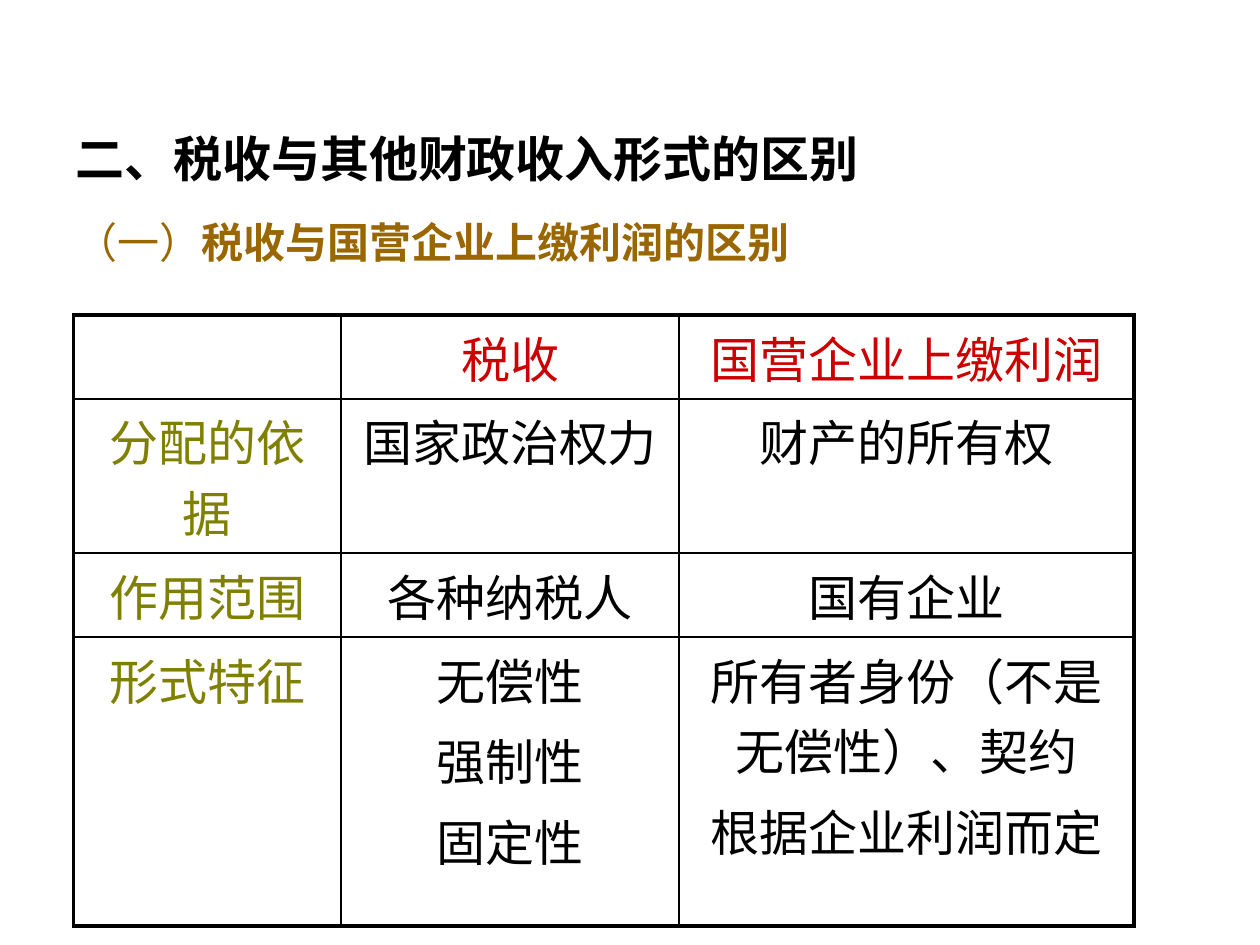
from lxml import etree
from pptx import Presentation
from pptx.dml.color import RGBColor
from pptx.enum import text as t
from pptx.oxml import ns
from pptx.util import Pt

HUES = {"ink": "000000", "gold": "996600", "red": "CC0000", "olive": "808000"}
COLS = [153, 193, 260]
ROWS = [48, 88, 48, 165]
CELLS = [
    ["", "税收", "国营企业上缴利润"],
    ["分配的依据", "国家政治权力", "财产的所有权"],
    ["作用范围", "各种纳税人", "国有企业"],
    ["形式特征", "无偿性\n强制性\n固定性", "所有者身份（不是无偿性）、契约\n根据企业利润而定"],
]


def style(para, size, hue):
    font = para.font
    font.name = "Arial"
    font.size = Pt(size)
    font.color.rgb = RGBColor.from_string(HUES[hue])


def place(shape, left, top, width, height):
    shape.left, shape.top = Pt(left), Pt(top)
    shape.width, shape.height = Pt(width), Pt(height)


def hang(para, indent):
    para.alignment = t.PP_ALIGN.LEFT
    para.space_before = Pt(0)
    props = para._p.get_or_add_pPr()
    props.set("marL", str(Pt(indent)))
    props.set("indent", str(-Pt(indent)))
    etree.SubElement(props, ns.qn("a:buNone"))


def add_title(slide):
    title = slide.shapes.title
    place(title, 36, 36, 648, 108)
    frame = title.text_frame
    frame.text = "二、税收与其他财政收入形式的区别"
    frame.vertical_anchor = t.MSO_ANCHOR.MIDDLE
    para = frame.paragraphs[0]
    hang(para, 66)
    style(para, 28, "ink")
    para.font.bold = True


def add_body(slide):
    body = slide.placeholders[1]
    place(body, 36, 120, 618, 150)
    para = body.text_frame.paragraphs[0]
    hang(para, 27)
    style(para, 24, "gold")
    for words, bold in [("（一）", False), ("税收与国营企业上缴利润的区别", True)]:
        run = para.add_run()
        run.text = words
        run.font.bold = bold


def add_edge(cell, side, outer):
    props = cell._tc.get_or_add_tcPr()
    line = etree.SubElement(props, ns.qn("a:ln" + side), w=str(Pt(2.25 if outer else 1)))
    fill = etree.SubElement(line, ns.qn("a:solidFill"))
    etree.SubElement(fill, ns.qn("a:srgbClr"), val=HUES["ink"])


def fill_cell(cell, words, row, col):
    edges = {
        "L": col == 0,
        "R": col == len(COLS) - 1,
        "T": row == 0,
        "B": row == len(ROWS) - 1,
    }
    for side, outer in edges.items():
        add_edge(cell, side, outer)
    cell.fill.background()
    hue = "red" if row == 0 else "olive" if col == 0 else "ink"
    cell.text = words
    for num, para in enumerate(cell.text_frame.paragraphs):
        para.alignment = t.PP_ALIGN.CENTER
        para.space_before = Pt(5.6 if num else 0)
        style(para, 28, hue)


def add_grid(slide):
    frame = slide.shapes.add_table(
        len(ROWS), len(COLS), Pt(42), Pt(180), Pt(sum(COLS)), Pt(sum(ROWS))
    )
    table = frame.table
    table.first_row = table.horz_banding = False
    for col, width in zip(table.columns, COLS):
        col.width = Pt(width)
    for row, height in zip(table.rows, ROWS):
        row.height = Pt(height)
    for row, line in enumerate(CELLS):
        for col, words in enumerate(line):
            fill_cell(table.cell(row, col), words, row, col)


def main():
    deck = Presentation()
    deck.slide_width, deck.slide_height = Pt(720), Pt(540)
    slide = deck.slides.add_slide(deck.slide_layouts[1])
    add_title(slide)
    add_body(slide)
    add_grid(slide)
    deck.save("out.pptx")


if __name__ == "__main__":
    main()
